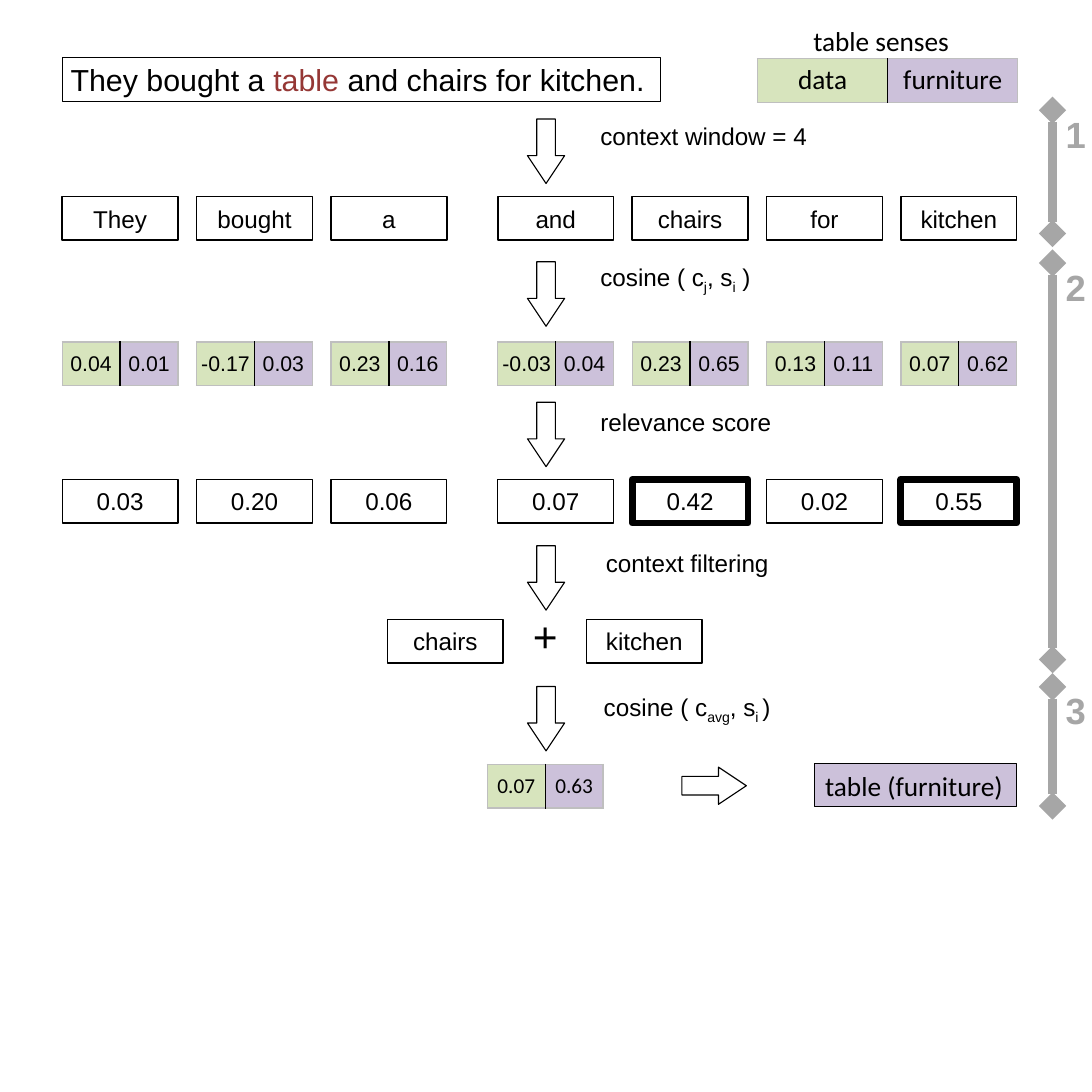
import pptx
import pptx.util
import pptx.dml.color
import pptx.enum.shapes
import pptx.enum.text
import pptx.oxml
import pptx.oxml.ns

Pt = pptx.util.Pt
MSO_SHAPE = pptx.enum.shapes.MSO_SHAPE
PP_ALIGN = pptx.enum.text.PP_ALIGN
MIDDLE = pptx.enum.text.MSO_ANCHOR.MIDDLE
COLORS = {
    "black": "000000",
    "red": "953735",
    "green": "D7E4BD",
    "purple": "CCC1DA",
    "grey": "A6A6A6",
    "edge": "BFBFBF",
}
BOX_W, BOX_H, PITCH = 76.4, 28.8, 88.6
COLUMNS = [41 + PITCH * i for i in range(3)] + [328.2 + PITCH * i for i in range(4)]


def rgb(name):
    """Return the named colour."""
    return pptx.dml.color.RGBColor.from_string(COLORS[name])


def write(tf, runs, size, font="Arial", align=PP_ALIGN.CENTER, color="black", bold=False):
    """Fill one paragraph with (text, style) runs; style is '', 'sub' or a colour."""
    p = tf.paragraphs[0]
    p.alignment = align
    p.font.size, p.font.name, p.font.bold = Pt(size), font, bold
    p.font.color.rgb = rgb(color)
    for text, style in [(runs, "")] if isinstance(runs, str) else runs:
        r = p.add_run()
        r.text = text
        r.font.size, r.font.name, r.font.bold = Pt(size), font, bold
        r.font.color.rgb = rgb(style if style in COLORS else color)
        if style == "sub":
            r._r.get_or_add_rPr().set("baseline", "-25000")


def frame(sp, inset):
    """Set wrapping, anchor and side insets, and return the text frame."""
    tf = sp.text_frame
    tf.word_wrap = True
    tf.vertical_anchor = MIDDLE
    tf.margin_left = tf.margin_right = Pt(inset)
    tf.margin_top = tf.margin_bottom = Pt(0)
    return tf


def outline(s, kind, x, y, w, h, weight=0.75, fill=None):
    """Add a preset shape with a black outline."""
    sp = s.shapes.add_shape(kind, Pt(x), Pt(y), Pt(w), Pt(h))
    sp.shadow.inherit = False
    if fill:
        sp.fill.solid()
        sp.fill.fore_color.rgb = rgb(fill)
    else:
        sp.fill.background()
    sp.line.color.rgb = rgb("black")
    sp.line.width = Pt(weight)
    return sp


def box(s, x, y, runs, w=BOX_W, size=16, weight=1, fill=None, inset=7.2, **style):
    """Add an outlined box with text."""
    sp = outline(s, MSO_SHAPE.RECTANGLE, x, y, w, BOX_H, weight, fill)
    write(frame(sp, inset), runs, size, **style)


def label(s, x, y, w, h, runs, size=16, inset=7.2, **style):
    """Add free text aligned left."""
    sp = s.shapes.add_textbox(Pt(x), Pt(y), Pt(w), Pt(h))
    write(frame(sp, inset), runs, size, align=PP_ALIGN.LEFT, **style)


def arrow(s, x, y, rotation=0):
    """Add a block arrow that points down before rotation."""
    sp = outline(s, MSO_SHAPE.DOWN_ARROW, x, y, 24.5, 42.5)
    sp.adjustments[0], sp.adjustments[1] = 0.5, 0.75
    sp.rotation = rotation


def border(cell, side, color):
    """Draw one border of a table cell."""
    xml = (
        f'<a:{side} {pptx.oxml.ns.nsdecls("a")} w="12700"><a:solidFill>'
        f'<a:srgbClr val="{COLORS[color]}"/></a:solidFill></a:{side}>'
    )
    return pptx.oxml.parse_xml(xml)


def sense_table(s, x, y, values, w=BOX_W, size=14, font="Arial"):
    """Add a one-row table with a data cell and a furniture cell."""
    table = s.shapes.add_table(1, 2, Pt(x), Pt(y), Pt(w), Pt(BOX_H)).table
    table.first_row = table.horz_banding = False
    table.rows[0].height = Pt(BOX_H)
    for i, (text, fill, inner) in enumerate(zip(values, ("green", "purple"), ("lnR", "lnL"))):
        table.columns[i].width = Pt(w / 2)
        cell = table.cell(0, i)
        cell.margin_left = cell.margin_right = cell.margin_top = cell.margin_bottom = 0
        cell.vertical_anchor = MIDDLE
        cell.fill.solid()
        cell.fill.fore_color.rgb = rgb(fill)
        write(cell.text_frame, text, size, font)
        for n, side in enumerate(("lnL", "lnR", "lnT", "lnB")):
            line = border(cell, side, "black" if side == inner else "edge")
            cell._tc.get_or_add_tcPr().insert(n, line)


def stage(s, number, top, bottom):
    """Add a numbered vertical bar with diamond ends."""
    cx = s.shapes.add_connector(
        pptx.enum.shapes.MSO_CONNECTOR.STRAIGHT, Pt(694), Pt(top), Pt(694), Pt(bottom)
    )
    cx.line.color.rgb = rgb("grey")
    cx.line.width = Pt(6)
    ln = cx.line._get_or_add_ln()
    for tag in ("headEnd", "tailEnd"):
        ln.append(pptx.oxml.parse_xml(f'<a:{tag} {pptx.oxml.ns.nsdecls("a")} type="diamond"/>'))
    cx._element.spPr.append(pptx.oxml.parse_xml(f'<a:effectLst {pptx.oxml.ns.nsdecls("a")}/>'))
    label(s, 702.7, top - 2.5, 17, 36, number, 24, 0, color="grey", bold=True)


def main():
    """Build the word sense slide and save it."""
    prs = pptx.Presentation()
    prs.slide_width = prs.slide_height = Pt(720)
    s = prs.slides.add_slide(prs.slide_layouts[6])

    sentence = [("They bought a ", ""), ("table ", "red"), ("and chairs for kitchen.", "")]
    box(s, 41, 38.2, sentence, 394.6, 20, 0.75, inset=5.5, align=PP_ALIGN.LEFT)
    label(s, 529.2, 12.5, 105, 28.8, "table senses", 18, font="Calibri")
    sense_table(s, 499.5, 38.7, ("data", "furniture"), 171.6, 18, "Calibri")

    columns = [
        ("They", "0.04", "0.01", "0.03"),
        ("bought", "-0.17", "0.03", "0.20"),
        ("a", "0.23", "0.16", "0.06"),
        ("and", "-0.03", "0.04", "0.07"),
        ("chairs", "0.23", "0.65", "0.42"),
        ("for", "0.13", "0.11", "0.02"),
        ("kitchen", "0.07", "0.62", "0.55"),
    ]
    relevant = ("chairs", "kitchen")
    for x, (word, data, furniture, score) in zip(COLUMNS, columns):
        box(s, x, 129.6, word)
        sense_table(s, x, 225.4, (data, furniture))
        box(s, x, 316.1, score, weight=4.5 if word in relevant else 0.75)

    steps = [
        (78.5, 388.8, 76.3, "context window = 4"),
        (172.6, 388.8, 170.6, [("cosine ( c", ""), ("j", "sub"), (", s", ""), ("i", "sub"), (" )", "")]),
        (265.2, 388.8, 265, "relevance score"),
        (359.8, 392.4, 357.8, "context filtering"),
        (452.6, 391, 454.3, [("cosine ( c", ""), ("avg", "sub"), (", s", ""), ("i ", "sub"), (")", "")]),
    ]
    for arrow_y, x, y, runs in steps:
        arrow(s, 347.8, arrow_y)
        label(s, x, y, 166, 26.6, runs)

    for x, word in zip((255.4, 386.6), relevant):
        box(s, x, 408.4, word)
    label(s, 351.4, 402, 17.3, 33.8, "+", 28, 0)

    sense_table(s, 321.3, 504, ("0.07", "0.63"), font="Calibri")
    arrow(s, 458.6, 496.8, 270)
    box(s, 537, 503.3, "table (furniture)", 133.4, 18, 0.75, "purple",
        font="Calibri", align=PP_ALIGN.LEFT)

    for number, top, bottom in (("1", 72.7, 154), ("2", 173.5, 434.9), ("3", 452.9, 531.4)):
        stage(s, number, top, bottom)
    prs.save("out.pptx")


main()
